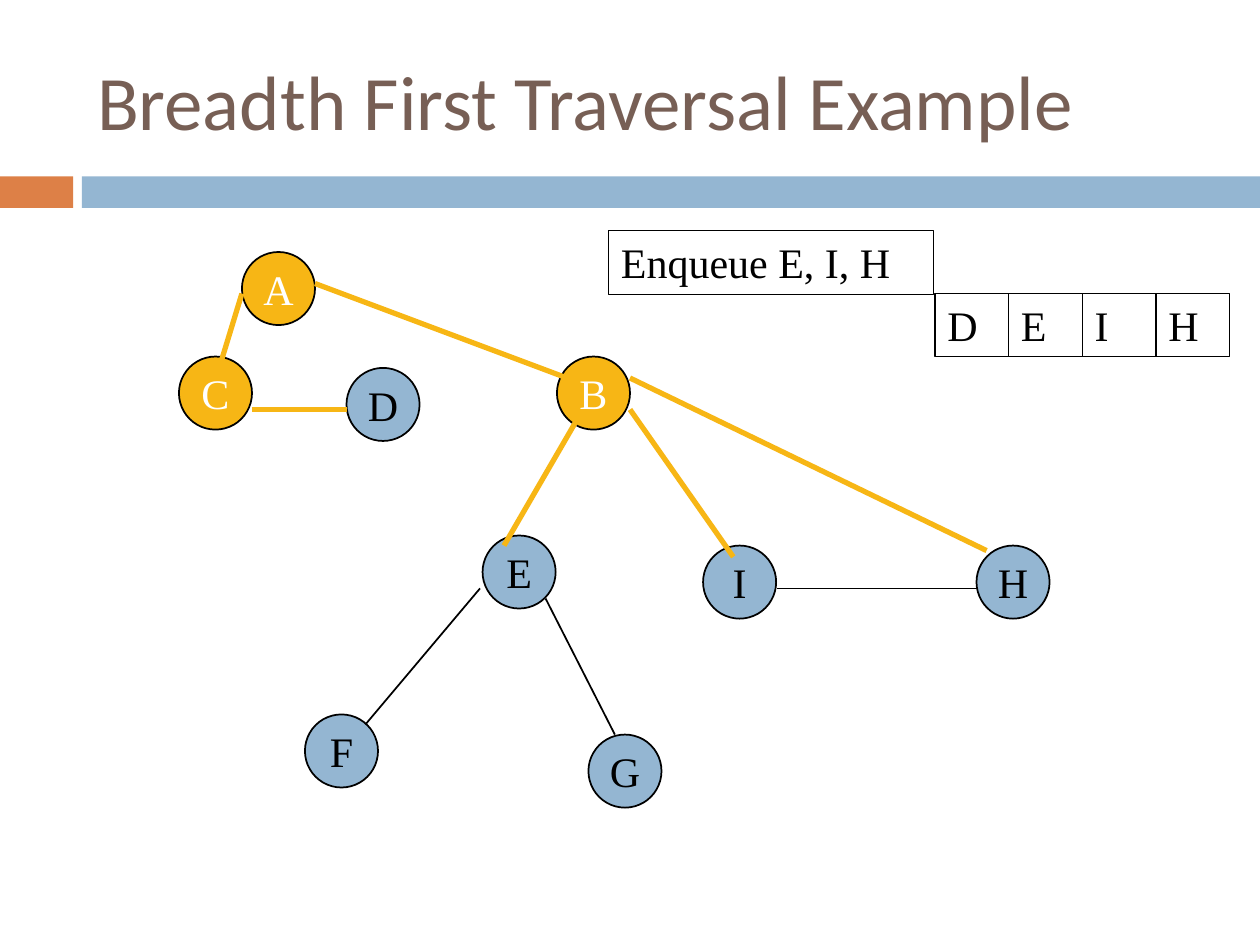
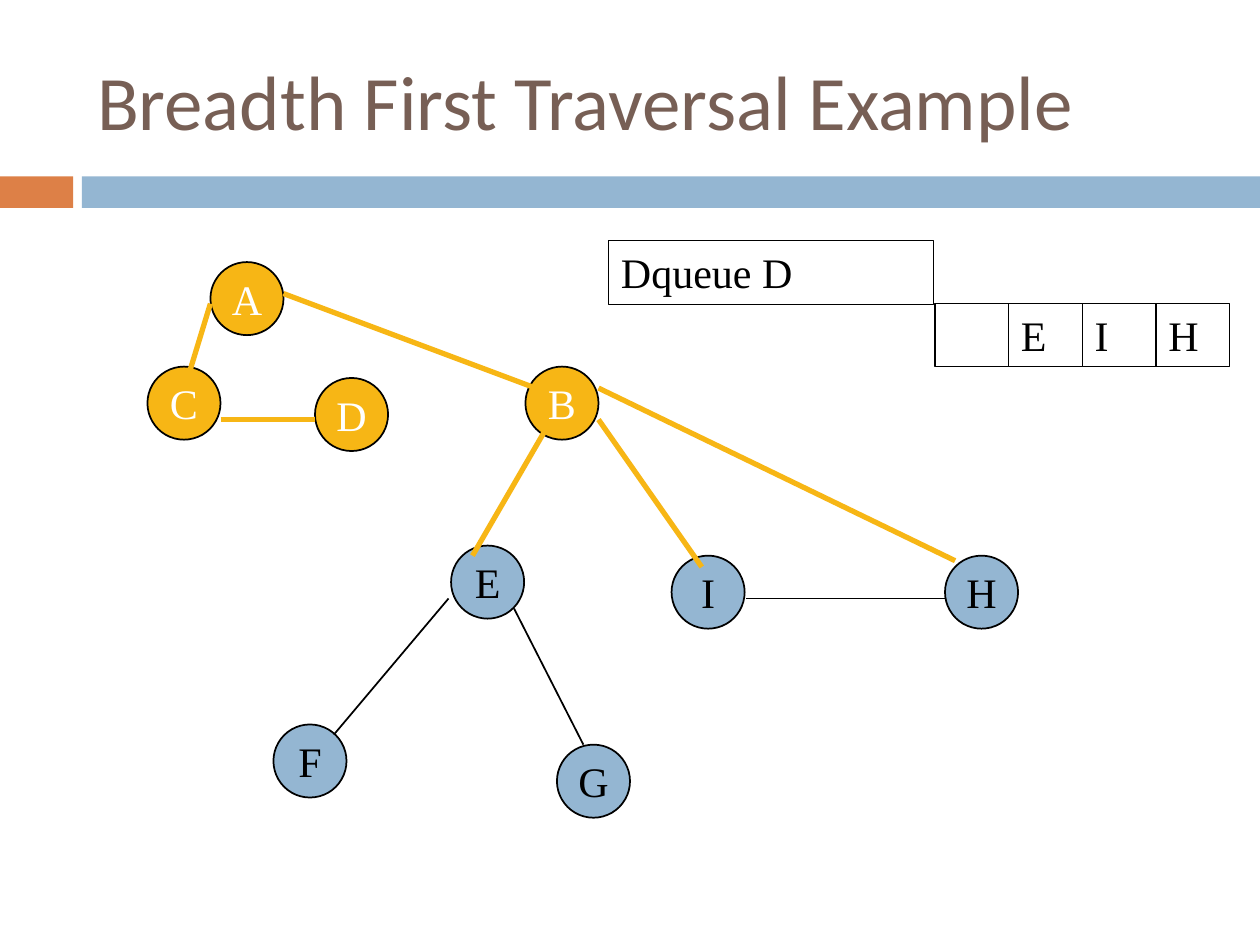
from dataclasses import dataclass

from pptx import Presentation
from pptx.dml.color import RGBColor
from pptx.enum.shapes import MSO_CONNECTOR, MSO_SHAPE
from pptx.enum.text import MSO_ANCHOR, PP_ALIGN
from pptx.oxml.ns import qn
from pptx.shapes.autoshape import Shape
from pptx.slide import Slide
from pptx.text.text import TextFrame
from pptx.util import Inches, Pt
from lxml.etree import SubElement

# Shared look
BLACK, WHITE = "000000", "FFFFFF"
BLUE, GOLD, RUST, BROWN = "94B6D2", "F7B615", "DD8047", "775F55"
HEAD, SERIF = "Calibri", "Times New Roman"
TITLE = "Breadth First Traversal Example"
DOT = 0.58
CELL = 0.585


@dataclass
class Node:
    name: str
    x: float
    y: float


@dataclass
class Edge:
    x1: float
    y1: float
    x2: float
    y2: float
    seen: bool = True


@dataclass
class Step:
    label: str
    queue: list[str]
    done: str
    dx: float
    dy: float


# The graph as it stands in the first step
NODES = [
    Node("A", 1.92, 2), Node("C", 1.42, 2.83), Node("D", 2.75, 2.92),
    Node("B", 4.42, 2.83), Node("E", 3.83, 4.25), Node("F", 2.42, 5.67),
    Node("G", 4.67, 5.83), Node("I", 5.58, 4.33), Node("H", 7.75, 4.33),
]
EDGES = [
    Edge(1.92, 2.33, 1.74, 2.92), Edge(2, 3.25, 2.75, 3.25),
    Edge(2.5, 2.25, 4.5, 3), Edge(4.58, 3.33, 4, 4.33),
    Edge(3.81, 4.67, 2.9, 5.75, False), Edge(4.33, 4.75, 4.88, 5.83, False),
    Edge(5, 3.25, 5.82, 4.42), Edge(5, 3, 7.83, 4.37),
    Edge(6.17, 4.67, 7.75, 4.67, False),
]
STEPS = [
    Step("Enqueue E, I, H", ["D", "E", "I", "H"], "ACB", 0, 0),
    Step("Dqueue D", ["", "E", "I", "H"], "ACBD", -0.25, 0.08),
]


def tint(code: str) -> RGBColor:
    return RGBColor.from_string(code)


def write(frame: TextFrame, text: str, face: str, size: int, color: str,
          align: PP_ALIGN, anchor: MSO_ANCHOR) -> None:
    frame.vertical_anchor = anchor
    para = frame.paragraphs[0]
    para.alignment = align
    if text:
        run = para.add_run()
        run.text = text
        run.font.name, run.font.size = face, Pt(size)
        run.font.color.rgb = tint(color)


def block(slide: Slide, kind: MSO_SHAPE, x: float, y: float, w: float,
          h: float, fill: str, line: float = 0) -> Shape:
    shape = slide.shapes.add_shape(kind, Inches(x), Inches(y), Inches(w), Inches(h))
    shape.shadow.inherit = False
    shape.fill.solid()
    shape.fill.fore_color.rgb = tint(fill)
    if line:
        shape.line.color.rgb = tint(BLACK)
        shape.line.width = Pt(line)
    else:
        shape.line.fill.background()
    return shape


def frame(slide: Slide) -> None:
    # Colour bands and title
    for x, w, fill in ((0, 0.58, RUST), (0.65, 9.35, BLUE)):
        block(slide, MSO_SHAPE.RECTANGLE, x, 1.4, w, 0.25, fill)
    title = slide.shapes.title
    title.left, title.top = Inches(0.67), Inches(0.25)
    title.width, title.height = Inches(8.92), Inches(1.08)
    write(title.text_frame, TITLE, HEAD, 44, BROWN, PP_ALIGN.LEFT, MSO_ANCHOR.MIDDLE)


def graph(slide: Slide, step: Step) -> None:
    # Nodes: gold once visited
    for node in NODES:
        done = node.name in step.done
        dot = block(slide, MSO_SHAPE.OVAL, node.x + step.dx, node.y + step.dy,
                    DOT, DOT, GOLD if done else BLUE, 1)
        dot.text_frame.word_wrap = False
        write(dot.text_frame, node.name, SERIF, 24, WHITE if done else BLACK,
              PP_ALIGN.CENTER, MSO_ANCHOR.MIDDLE)
    # Edges: thick gold once followed
    for edge in EDGES:
        line = slide.shapes.add_connector(
            MSO_CONNECTOR.STRAIGHT,
            Inches(edge.x1 + step.dx), Inches(edge.y1 + step.dy),
            Inches(edge.x2 + step.dx), Inches(edge.y2 + step.dy))
        line.line.color.rgb = tint(GOLD if edge.seen else BLACK)
        line.line.width = Pt(3 if edge.seen else 1)
        SubElement(line.element.spPr, qn("a:effectLst"))


def box(slide: Slide, text: str, x: float, y: float, w: float, h: float,
        anchor: MSO_ANCHOR) -> None:
    shape = block(slide, MSO_SHAPE.RECTANGLE, x, y, w, h, WHITE, 0.75)
    shape.text_frame.word_wrap = True
    write(shape.text_frame, text, SERIF, 24, BLACK, PP_ALIGN.LEFT, anchor)


def queue(slide: Slide, step: Step) -> None:
    # Action label and the row of cells below it
    box(slide, step.label, 4.83, 1.83 + step.dy, 2.58, 0.51, MSO_ANCHOR.TOP)
    for i, name in enumerate(step.queue):
        box(slide, name, 7.42 + i * CELL, 2.33 + step.dy, CELL, 0.5, MSO_ANCHOR.MIDDLE)


def main() -> None:
    deck = Presentation()
    deck.slide_width, deck.slide_height = Inches(10), Inches(7.5)
    for step in STEPS:
        slide = deck.slides.add_slide(deck.slide_layouts[5])
        frame(slide)
        graph(slide, step)
        queue(slide, step)
    deck.save("out.pptx")


if __name__ == "__main__":
    main()
